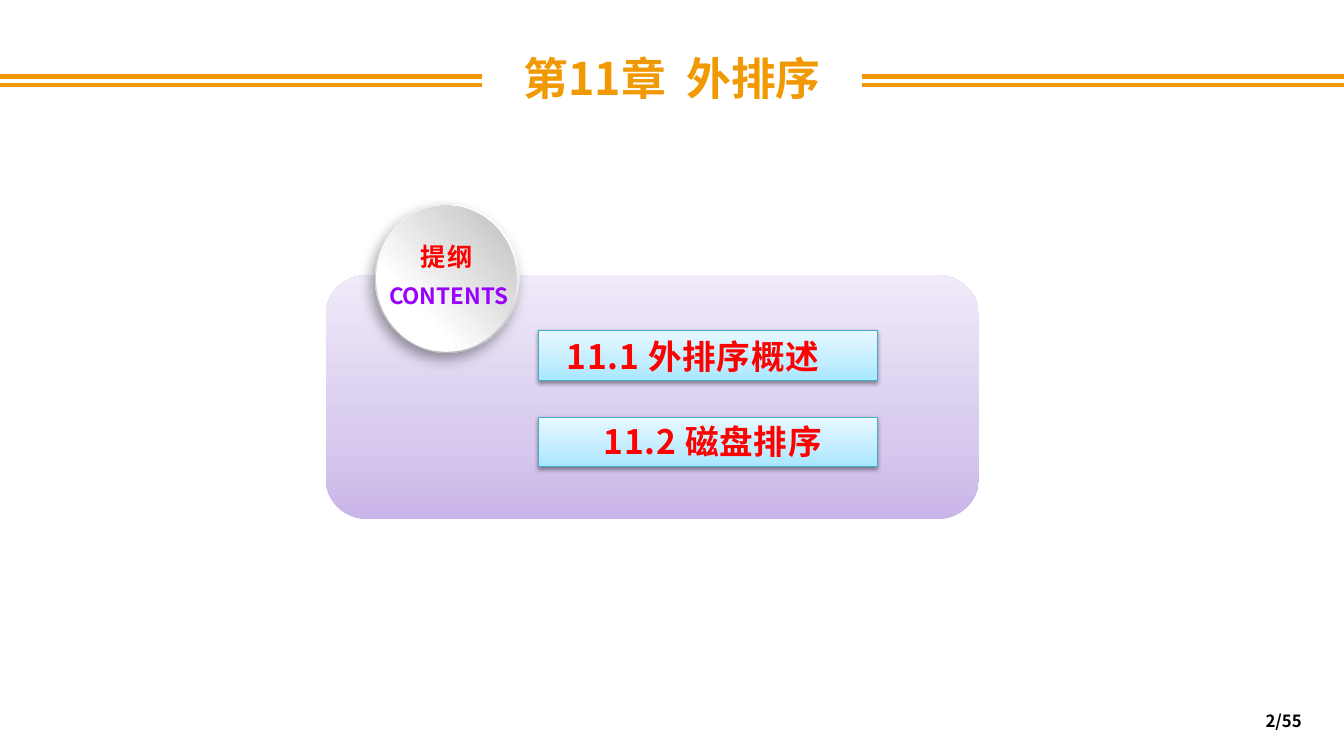
from lxml.etree import SubElement
from pptx import Presentation
from pptx.dml.color import RGBColor
from pptx.enum.shapes import MSO_CONNECTOR as Connector, MSO_SHAPE as Shape
from pptx.enum.text import MSO_ANCHOR as Anchor, PP_ALIGN as Align
from pptx.oxml.ns import qn
from pptx.util import Inches, Pt

WIDTH, HEIGHT = 13.33, 7.5
FONT = "Noto Sans CJK SC"
ORANGE = RGBColor(0xF1, 0x99, 0x03)
RED = RGBColor(0xFF, 0x00, 0x00)
VIOLET = RGBColor(0x99, 0x00, 0xFF)
TEAL = RGBColor(0x46, 0xAA, 0xC5)
BLACK = RGBColor(0x00, 0x00, 0x00)
WHITE = RGBColor(0xFF, 0xFF, 0xFF)
LILAC_STOPS = [(0, RGBColor(0xC9, 0xB5, 0xE8)), (35, RGBColor(0xD8, 0xCB, 0xEE)),
               (100, RGBColor(0xF0, 0xEA, 0xF9))]
SKY_STOPS = [(0, RGBColor(0xA7, 0xE6, 0xFF)), (35, RGBColor(0xC1, 0xED, 0xFF)),
             (100, RGBColor(0xE7, 0xF8, 0xFF))]
RIM_STOPS = [(17, WHITE), (88, RGBColor(0xB8, 0xB8, 0xB8))]
DISC_STOPS = [(29, WHITE), (98, RGBColor(0xBF, 0xBF, 0xBF))]
UPWARD = 270


class OutlinePage:
    def __init__(self, deck):
        self.page = deck.slides.add_slide(deck.slide_layouts[6])

    def rule(self, y):
        line = self.page.shapes.add_connector(
            Connector.STRAIGHT, Inches(0), Inches(y), Inches(WIDTH), Inches(y))
        line.line.color.rgb = ORANGE
        line.line.width = Pt(3)
        SubElement(line._element.spPr, qn("a:effectLst"))

    def shape(self, kind, bounds, line=None, weight=0.75):
        box = self.page.shapes.add_shape(kind, *map(Inches, bounds))
        box.shadow.inherit = False
        if line is None:
            box.line.fill.background()
        else:
            box.line.color.rgb = line
            box.line.width = Pt(weight)
        return box

    def gradient(self, box, stops, angle):
        """Fill with colour stops in percent; the angle runs clockwise."""
        box.fill.gradient()
        fill = box._element.spPr.find(qn("a:gradFill"))
        stop_list = fill.find(qn("a:gsLst"))
        for stop in list(stop_list):
            stop_list.remove(stop)
        for position, colour in stops:
            stop = SubElement(stop_list, qn("a:gs"), pos=str(position * 1000))
            SubElement(stop, qn("a:srgbClr"), val=str(colour))
        fill.find(qn("a:lin")).set("ang", str(angle * 60000))

    def shadow(self, box, opacity, blur, distance, angle):
        effects = box._element.spPr.find(qn("a:effectLst"))
        shade = SubElement(effects, qn("a:outerShdw"), blurRad=str(Pt(blur)),
                           dist=str(Pt(distance)), dir=str(angle * 60000),
                           algn="ctr", rotWithShape="0")
        colour = SubElement(shade, qn("a:srgbClr"), val=str(BLACK))
        SubElement(colour, qn("a:alpha"), val=str(opacity * 1000))

    def set_text(self, box, text, size, colour, align=Align.CENTER, spacing=0):
        frame = box.text_frame
        frame.word_wrap = True
        frame.text = text
        para = frame.paragraphs[0]
        para.alignment = align
        for span in para.runs:
            span.font.name = FONT
            span.font.size = Pt(size)
            span.font.bold = True
            span.font.color.rgb = colour
            properties = span.font._element
            properties.set("spc", str(int(spacing * 100)))
            SubElement(properties, qn("a:ea"), typeface=FONT)
        return para

    def label(self, bounds, text, size, colour, **style):
        box = self.page.shapes.add_textbox(*map(Inches, bounds))
        self.set_text(box, text, size, colour, **style)
        return box

    def title(self, text):
        box = self.shape(Shape.RECTANGLE, (4.79, 0.45, 3.75, 0.64), WHITE, 2)
        box.fill.solid()
        box.fill.fore_color.rgb = WHITE
        self.set_text(box, text, 32, ORANGE)

    def card(self, bounds):
        box = self.shape(Shape.ROUNDED_RECTANGLE, bounds)
        self.gradient(box, LILAC_STOPS, UPWARD)

    def topic(self, y, height, text, align):
        box = self.shape(Shape.RECTANGLE, (5.34, y, 3.36, height), TEAL)
        self.gradient(box, SKY_STOPS, UPWARD)
        self.shadow(box, 38, 3.1, 1.6, 90)
        box.text_frame.margin_left = Inches(0.28)
        return self.set_text(box, text, 24, RED, align, spacing=0.5)

    def badge(self):
        rim = self.shape(Shape.OVAL, (3.72, 2.03, 1.43, 1.47))
        self.gradient(rim, RIM_STOPS, 107)
        self.shadow(rim, 39, 10, 5, 123)
        disc = self.shape(Shape.OVAL, (3.73, 2.04, 1.39, 1.45))
        self.gradient(disc, DISC_STOPS, 318)
        self.label((3.64, 2.75, 1.62, 0.37), "CONTENTS", 16, VIOLET)
        self.label((4.03, 2.34, 0.8, 0.4), "提纲", 18, RED, spacing=1.5)


def main():
    deck = Presentation()
    deck.slide_width, deck.slide_height = Inches(WIDTH), Inches(HEIGHT)
    outline = OutlinePage(deck)
    for y in (0.76, 0.84):
        outline.rule(y)
    outline.card((3.23, 2.73, 6.48, 2.42))
    outline.topic(3.28, 0.5, "11.1 外排序概述", Align.LEFT)
    outline.badge()
    sorting = outline.topic(4.14, 0.49, "11.2 磁盘排序 ", Align.CENTER)
    sorting.line_spacing = Pt(28)
    outline.title("第11章  外排序")
    number = outline.label((9.9, 6.95, 3.11, 0.4), "2/55", 12, BLACK, align=Align.RIGHT)
    number.text_frame.vertical_anchor = Anchor.MIDDLE
    deck.save("out.pptx")


if __name__ == "__main__":
    main()
